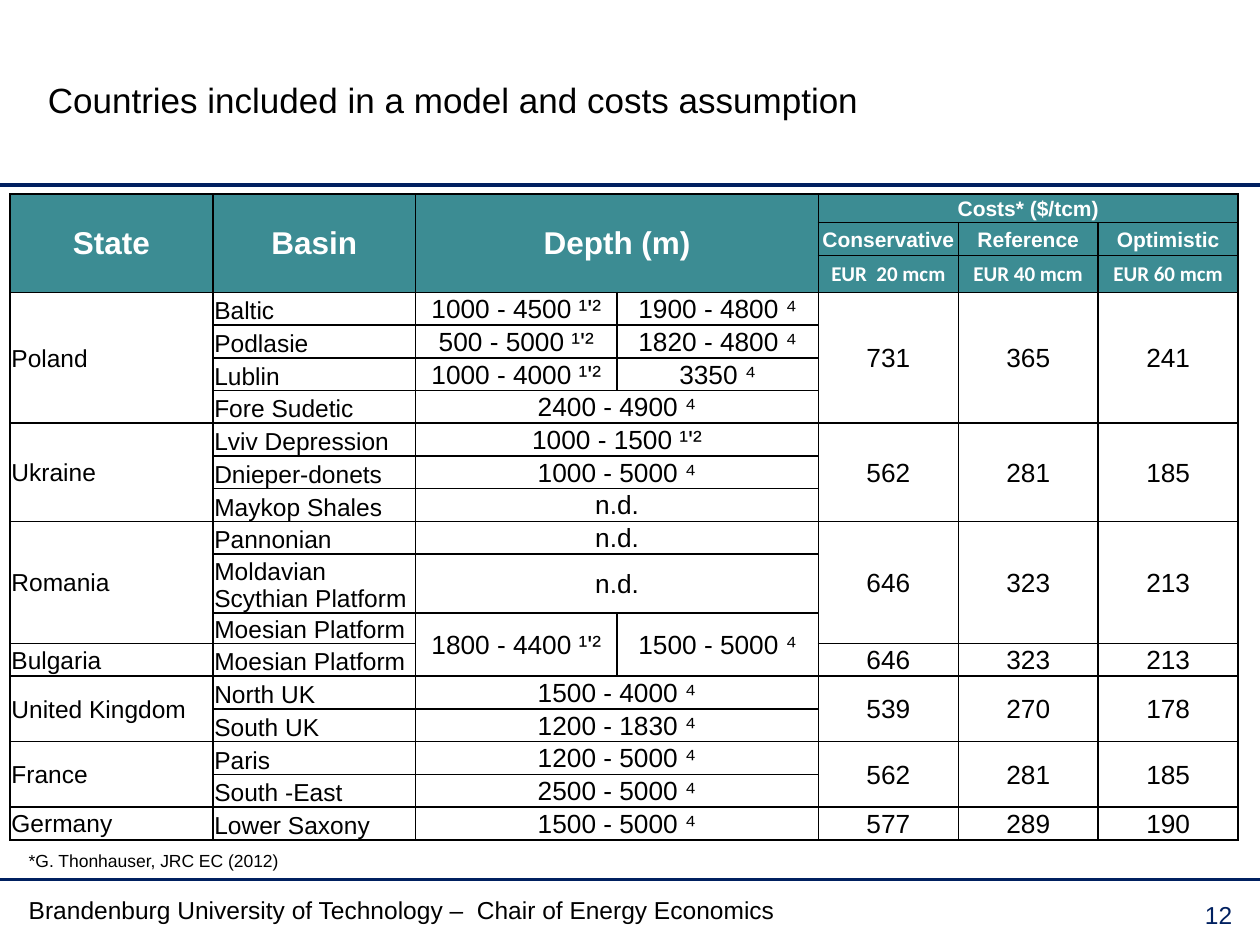
from lxml.etree import SubElement
from pptx import Presentation
from pptx.dml.color import RGBColor as RGB
from pptx.enum.shapes import MSO_CONNECTOR as CONN
from pptx.enum.text import MSO_ANCHOR as ANCHOR, MSO_AUTO_SIZE as FIT, PP_ALIGN as ALIGN
from pptx.oxml import parse_xml
from pptx.oxml.ns import nsdecls, qn
from pptx.util import Cm, Pt

COLORS = {"navy": "002060", "teal": "3C8C93", "white": "FFFFFF", "black": "000000"}

HEADER = {"size": 18, "color": "white", "bold": True, "fill": "teal"}
COST_HEADER = {**HEADER, "size": 12}
VOLUME_HEADER = {**COST_HEADER, "name": "Calibri"}
STATE = {"size": 14, "align": ALIGN.LEFT}
BASIN = {**STATE, "anchor": ANCHOR.BOTTOM}
VALUE = {"size": 15}

COL_WIDTHS = [4.09, 4.09, 4.06, 4.06, 2.82, 2.82, 2.82]
HEADER_HEIGHTS = [0.58, 0.66, 0.66]
BODY_HEIGHT = 0.66
SPECIAL_HEIGHTS = {11: 1.19, 12: 0.61}

SCENARIOS = [("Conservative", "EUR  20 mcm"), ("Reference", "EUR 40 mcm"),
             ("Optimistic", "EUR 60 mcm")]

STATES = [
    ("Poland", (731, 365, 241), [
        ("Baltic", "1000 - 4500 ¹'²", "1900 - 4800 ⁴"),
        ("Podlasie", "500 - 5000 ¹'²", "1820 - 4800 ⁴"),
        ("Lublin", "1000 - 4000 ¹'²", "3350 ⁴"),
        ("Fore Sudetic", "2400 - 4900 ⁴")]),
    ("Ukraine", (562, 281, 185), [
        ("Lviv Depression", "1000 - 1500 ¹'²"),
        ("Dnieper-donets", "1000 - 5000 ⁴"),
        ("Maykop Shales", "n.d.")]),
    ("Romania", (646, 323, 213), [
        ("Pannonian", "n.d."),
        ("Moldavian Scythian Platform", "n.d."),
        ("Moesian Platform", "1800 - 4400 ¹'²", "1500 - 5000 ⁴")]),
    ("Bulgaria", (646, 323, 213), [("Moesian Platform",)]),
    ("United Kingdom", (539, 270, 178), [
        ("North UK", "1500 - 4000 ⁴"), ("South UK", "1200 - 1830 ⁴")]),
    ("France", (562, 281, 185), [
        ("Paris", "1200 - 5000 ⁴"), ("South -East", "2500 - 5000 ⁴")]),
    ("Germany", (577, 289, 190), [("Lower Saxony", "1500 - 5000 ⁴")]),
]


def format_text(p, size, color="black", name="Arial", bold=False, align=ALIGN.LEFT):
    """Apply alignment and font values to a paragraph."""
    p.alignment = align
    for r in p.runs:
        for attr, value in {"size": Pt(size), "name": name, "bold": bold}.items():
            setattr(r.font, attr, value)
        r.font.color.rgb = RGB.from_string(COLORS[color])


def add_rule(s, y, width):
    """Draw a full-width navy line at the given height."""
    line = s.shapes.add_connector(CONN.STRAIGHT, 0, Cm(y), Cm(25.4), Cm(y))
    line.line.color.rgb = RGB.from_string(COLORS["navy"])
    line.line.width = Pt(width)
    SubElement(line._element.spPr, qn("a:effectLst"))


def add_label(s, box, text, **style):
    """Add a single-paragraph text box."""
    tf = s.shapes.add_textbox(*map(Cm, box)).text_frame
    tf.word_wrap = True
    tf.text = text
    format_text(tf.paragraphs[0], **style)
    return tf


def add_title(s, box, text):
    """Place and format the title placeholder."""
    sp = s.shapes.title
    for attr, value in zip(("left", "top", "width", "height"), box):
        setattr(sp, attr, Cm(value))
    tf = sp.text_frame
    tf.text = text
    for attr, value in {"vertical_anchor": ANCHOR.MIDDLE, "word_wrap": True,
                        "auto_size": FIT.NONE}.items():
        setattr(tf, attr, value)
    format_text(tf.paragraphs[0], 20)


def put(table, row, col, text, style, rows=1, cols=1):
    """Write a styled cell that spans the given rows and columns."""
    cell = table.cell(row, col)
    if rows * cols > 1:
        cell.merge(table.cell(row + rows - 1, col + cols - 1))
    style = {"align": ALIGN.CENTER, **style}
    cell.vertical_anchor = style.pop("anchor", ANCHOR.MIDDLE)
    cell.fill.fore_color.rgb = RGB.from_string(COLORS[style.pop("fill", "white")])
    cell.text = str(text)
    format_text(cell.text_frame.paragraphs[0], **style)


def prepare_cell(cell):
    """Give a cell a white fill, narrow margins and black borders."""
    cell.fill.solid()
    cell.fill.fore_color.rgb = RGB.from_string(COLORS["white"])
    for side, value in {"left": 0.03, "top": 0.03, "right": 0.03, "bottom": 0}.items():
        setattr(cell, f"margin_{side}", Cm(value))
    tc_pr = cell._tc.get_or_add_tcPr()
    for i, side in enumerate("LRTB"):
        tc_pr.insert(i, parse_xml(
            f'<a:ln{side} {nsdecls("a")} w="{Pt(1)}"><a:solidFill>'
            f'<a:srgbClr val="{COLORS["black"]}"/></a:solidFill></a:ln{side}>'))


def fill_header(table):
    """Write the three header rows."""
    put(table, 0, 0, "State", HEADER, rows=3)
    put(table, 0, 1, "Basin", HEADER, rows=3)
    put(table, 0, 2, "Depth (m)", HEADER, rows=3, cols=2)
    put(table, 0, 4, "Costs* ($/tcm)", COST_HEADER, cols=3)
    for col, (scenario, volume) in enumerate(SCENARIOS, 4):
        put(table, 1, col, scenario, COST_HEADER)
        put(table, 2, col, volume, VOLUME_HEADER)


def fill_states(table, row):
    """Write the basins, depths and costs of each state from the given row on."""
    basins = [basin for _, _, group in STATES for basin in group]
    for i, (basin, *depths) in enumerate(basins):
        put(table, row + i, 1, basin, BASIN)
        shared = 2 if i + 1 < len(basins) and len(basins[i + 1]) == 1 else 1
        for col, depth in enumerate(depths, 2):
            put(table, row + i, col, depth, VALUE, rows=shared, cols=3 - len(depths))
    for state, costs, group in STATES:
        put(table, row, 0, state, STATE, rows=len(group))
        for col, cost in enumerate(costs, 4):
            put(table, row, col, cost, VALUE, rows=len(group))
        row += len(group)


def add_cost_table(s, left, top):
    """Build the table of basins, depths and costs."""
    count = sum(len(group) for _, _, group in STATES)
    heights = HEADER_HEIGHTS + [BODY_HEIGHT] * count
    for row, height in SPECIAL_HEIGHTS.items():
        heights[row] = height
    table = s.shapes.add_table(len(heights), len(COL_WIDTHS), Cm(left), Cm(top),
                               Cm(sum(COL_WIDTHS)), Cm(sum(heights))).table
    table.first_row = table.horz_banding = False
    for column, width in zip(table.columns, COL_WIDTHS):
        column.width = Cm(width)
    for row, height in zip(table.rows, heights):
        row.height = Cm(height)
    for cell in table.iter_cells():
        prepare_cell(cell)
    fill_header(table)
    fill_states(table, len(HEADER_HEIGHTS))


def add_footer(s, left, top):
    """Add the source note, the chair's name and the page number."""
    note = add_label(s, (left, top, 24.51, 0.69), "*G. Thonhauser, JRC EC (2012)", size=10)
    note.auto_size = FIT.SHAPE_TO_FIT_TEXT
    add_label(s, (left, top + 0.89, 17.2, 0.94),
              "Brandenburg University of Technology –  Chair of Energy Economics", size=14)
    add_label(s, (left + 21.97, top + 0.99, 2.79, 0.94), "12",
              size=14, color="navy", align=ALIGN.RIGHT)


def main():
    """Build and save the slide."""
    prs = Presentation()
    prs.slide_width, prs.slide_height = Cm(25.4), Cm(19.05)
    s = prs.slides.add_slide(prs.slide_layouts[5])
    add_rule(s, 3.73, 2)
    add_rule(s, 17.73, 1.5)
    add_title(s, (0.71, 1.37, 20.4, 1.27), "Countries included in a model and costs assumption")
    add_cost_table(s, 0.2, 3.91)
    add_footer(s, 0.33, 17.02)
    prs.save("out.pptx")


if __name__ == "__main__":
    main()
